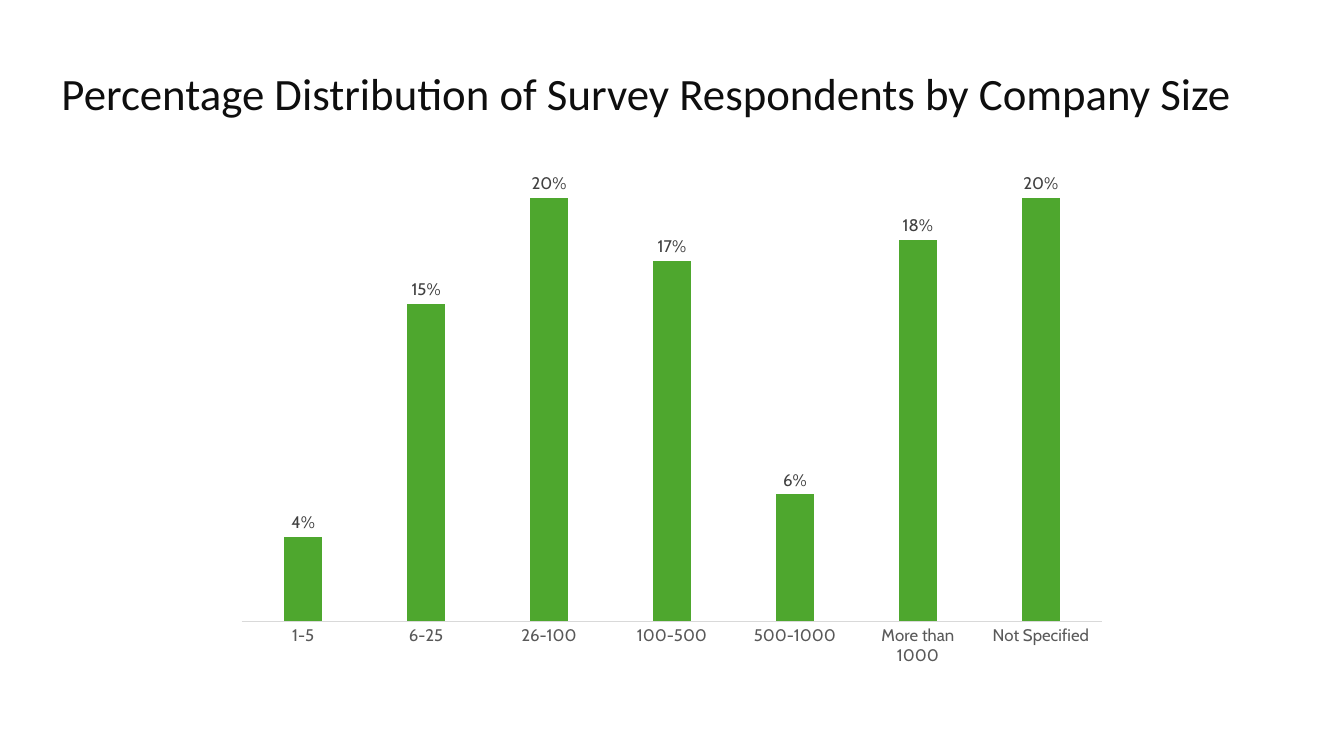
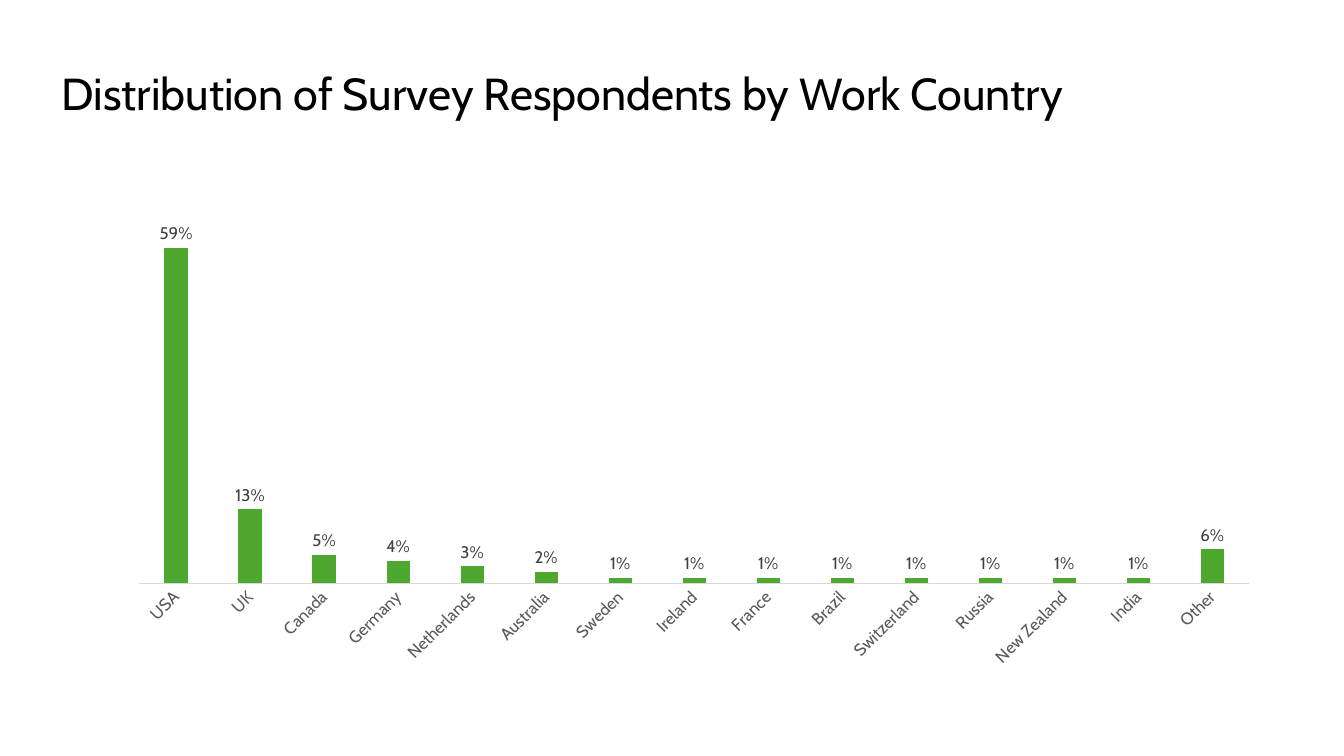
from pptx import Presentation
from pptx.chart.data import CategoryChartData
from pptx.dml.color import RGBColor
from pptx.enum.chart import XL_CHART_TYPE, XL_LABEL_POSITION, XL_TICK_MARK
from pptx.enum.text import MSO_ANCHOR, MSO_AUTO_SIZE, PP_ALIGN
from pptx.util import Inches, Pt

COLUMN = XL_CHART_TYPE.COLUMN_CLUSTERED
OUTSIDE = XL_LABEL_POSITION.OUTSIDE_END
NO_TICK = XL_TICK_MARK.NONE
MIDDLE = MSO_ANCHOR.MIDDLE
NO_FIT = MSO_AUTO_SIZE.NONE
LEFT = PP_ALIGN.LEFT

GREEN = RGBColor(0x4E, 0xA7, 0x2E)
BLACK = RGBColor(0x00, 0x00, 0x00)
INK = RGBColor(0x0E, 0x0E, 0x0E)
DARK = RGBColor(0x40, 0x40, 0x40)
GREY = RGBColor(0x59, 0x59, 0x59)
PALE = RGBColor(0xD9, 0xD9, 0xD9)

FONT = "Cabin"
PERCENT = "0%"
TITLE_BOX = (0.51, 0.4, 11.9, 1.1)

SIZES = [
    ("1-5", 0.04), ("6-25", 0.15), ("26-100", 0.20), ("100-500", 0.17),
    ("500-1000", 0.06), ("More than 1000", 0.18), ("Not Specified", 0.20),
]
LANDS = [
    ("USA", 0.59), ("UK", 0.13), ("Canada", 0.05), ("Germany", 0.04),
    ("Netherlands", 0.03), ("Australia", 0.02), ("Sweden", 0.01),
    ("Ireland", 0.01), ("France", 0.01), ("Brazil", 0.01),
    ("Switzerland", 0.01), ("Russia", 0.01), ("New Zealand", 0.01),
    ("India", 0.01), ("Other", 0.06),
]


def style(font, size, color, name=FONT):
    font.name, font.size = name, Pt(size)
    font.color.rgb = color


def add_title(slide, box, text, name, color):
    title = slide.shapes.title
    title.left, title.top, title.width, title.height = map(Inches, box)
    frame = title.text_frame
    frame.auto_size = NO_FIT
    frame.word_wrap = True
    frame.vertical_anchor = MIDDLE
    para = frame.paragraphs[0]
    para.alignment = LEFT
    para.line_spacing = 0.9
    run = para.add_run()
    run.text = text
    style(run.font, 32, color, name)
    # Keep the title in front of the chart
    slide.shapes._spTree.append(title._element)


def add_columns(slide, box, rows, top, angle):
    data = CategoryChartData(number_format=PERCENT)
    data.categories = [name for name, _ in rows]
    data.add_series("Series 1", [share for _, share in rows])
    chart = slide.shapes.add_chart(COLUMN, *map(Inches, box), data).chart
    chart.has_legend = False
    chart.has_title = False
    style(chart.font, 10, BLACK)

    # Columns and their labels
    plot = chart.plots[0]
    plot.gap_width, plot.overlap = 219, -27
    plot.vary_by_categories = False
    fill = plot.series[0].format.fill
    fill.solid()
    fill.fore_color.rgb = GREEN
    plot.has_data_labels = True
    labels = plot.data_labels
    labels.show_value = True
    labels.position = OUTSIDE
    labels.number_format = PERCENT
    labels.number_format_is_linked = False
    style(labels.font, 12, DARK)

    # Category axis, with its labels turned by the given angle
    axis = chart.category_axis
    axis.major_tick_mark = axis.minor_tick_mark = NO_TICK
    axis.format.line.color.rgb = PALE
    axis.format.line.width = Pt(0.75)
    style(axis.tick_labels.font, 12, GREY)
    axis._element.txPr.bodyPr.set("rot", str(angle * 60000))

    # Hidden value axis
    axis = chart.value_axis
    axis.minimum_scale, axis.maximum_scale = 0, top
    axis.has_major_gridlines = False
    axis.visible = False


def add_page(deck, text, name, color, box, rows, top, angle):
    slide = deck.slides.add_slide(deck.slide_layouts[5])
    add_columns(slide, box, rows, top, angle)
    add_title(slide, TITLE_BOX, text, name, color)


def main():
    deck = Presentation()
    deck.slide_width, deck.slide_height = Inches(13.33), Inches(7.5)
    add_page(deck, "Percentage Distribution of Survey Respondents by Company Size",
             "Calibri", INK, (2.22, 0.79, 8.89, 5.93), SIZES, 0.25, 0)
    add_page(deck, "Distribution of Survey Respondents by Work Country",
             FONT, BLACK, (1.15, 1.74, 11.47, 4.98), LANDS, 0.7, -45)
    deck.save("out.pptx")


if __name__ == "__main__":
    main()
